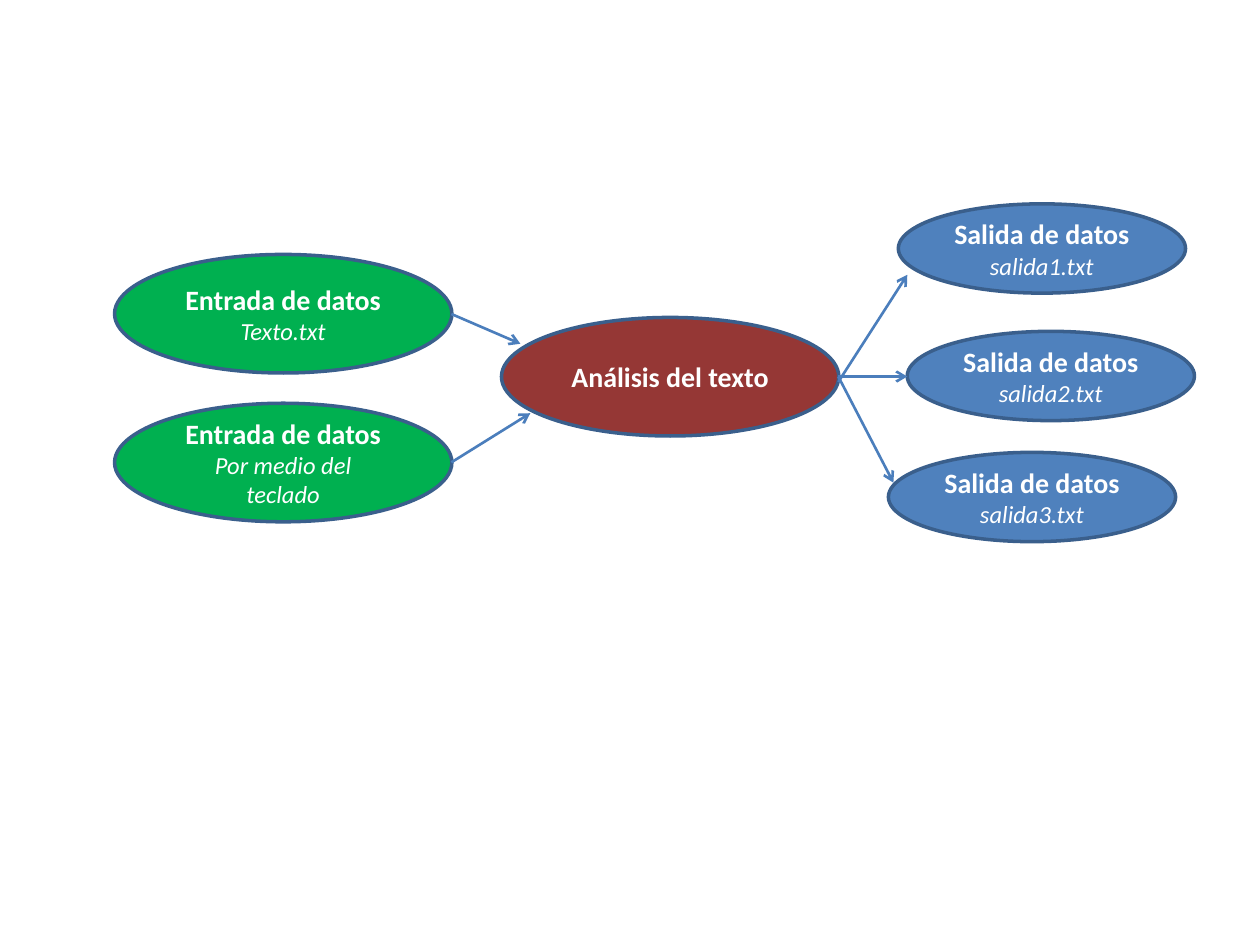
from lxml import etree
from pptx import Presentation
from pptx.dml.color import RGBColor
from pptx.enum.shapes import MSO_CONNECTOR, MSO_SHAPE
from pptx.enum.text import MSO_ANCHOR, PP_ALIGN
from pptx.oxml.ns import qn
from pptx.util import Cm, Pt

ELLIPSE = MSO_SHAPE.OVAL
STRAIGHT = MSO_CONNECTOR.STRAIGHT
MIDDLE = MSO_ANCHOR.MIDDLE
CENTER = PP_ALIGN.CENTER

FONT = "Calibri"
WHITE, GREEN, RED, BLUE = "FFFFFF", "00B050", "953735", "4F81BD"
OUTLINE, ARROW = "3A5F8C", "4B7EBC"

# Ellipse sizes in cm
LARGE = (6.8, 2.39)
SMALL = (5.79, 1.8)


def color(hex_value):
    return RGBColor.from_string(hex_value)


def format_paragraph(paragraph, text, size, bold=False, italic=False):
    paragraph.text = text
    paragraph.alignment = CENTER
    font = paragraph.font
    font.name, font.size = FONT, Pt(size)
    font.bold, font.italic = bold, italic
    font.color.rgb = color(WHITE)


def add_node(slide, left, top, size, fill, heading, detail=None):
    """Add an ellipse with a bold heading and an optional italic detail."""
    shape = slide.shapes.add_shape(
        ELLIPSE, Cm(left), Cm(top), *(Cm(length) for length in size))
    shape.shadow.inherit = False
    shape.fill.solid()
    shape.fill.fore_color.rgb = color(fill)
    shape.line.color.rgb = color(OUTLINE)
    shape.line.width = Pt(2)

    frame = shape.text_frame
    frame.word_wrap = True
    frame.vertical_anchor = MIDDLE
    format_paragraph(frame.paragraphs[0], heading, 16, bold=True)
    if detail:
        format_paragraph(frame.add_paragraph(), detail, 14, italic=True)


def add_arrow(slide, start, end):
    connector = slide.shapes.add_connector(
        STRAIGHT, *(Cm(length) for length in start + end))
    connector.line.color.rgb = color(ARROW)
    connector.line.width = Pt(1.5)
    line = connector.line._get_or_add_ln()
    etree.SubElement(line, qn("a:tailEnd"), type="arrow")
    etree.SubElement(connector._element.spPr, qn("a:effectLst"))


def main():
    presentation = Presentation()
    presentation.slide_width = Cm(25.4)
    presentation.slide_height = Cm(19.05)
    slide = presentation.slides.add_slide(presentation.slide_layouts[6])

    # Inputs
    for top, detail in ((5.13, "Texto.txt"), (8.13, "Por medio del teclado")):
        add_node(slide, 2.31, top, LARGE, GREEN, "Entrada de datos", detail)

    # Process
    add_node(slide, 10.11, 6.4, LARGE, RED, "Análisis del texto")

    # Outputs
    outputs = ((18.11, 4.11), (18.29, 6.68), (17.91, 9.12))
    for number, (left, top) in enumerate(outputs, start=1):
        add_node(slide, left, top, SMALL, BLUE,
                 "Salida de datos", f"salida{number}.txt")

    # Flow from the inputs to the process and on to the outputs
    for start, end in (
        ((9.1, 6.33), (10.49, 6.93)),
        ((9.1, 9.32), (10.69, 8.33)),
        ((16.9, 7.7), (18.29, 5.54)),
        ((16.9, 7.59), (18.29, 7.59)),
        ((16.9, 7.59), (18.01, 9.73)),
    ):
        add_arrow(slide, start, end)

    presentation.save("out.pptx")


if __name__ == "__main__":
    main()
